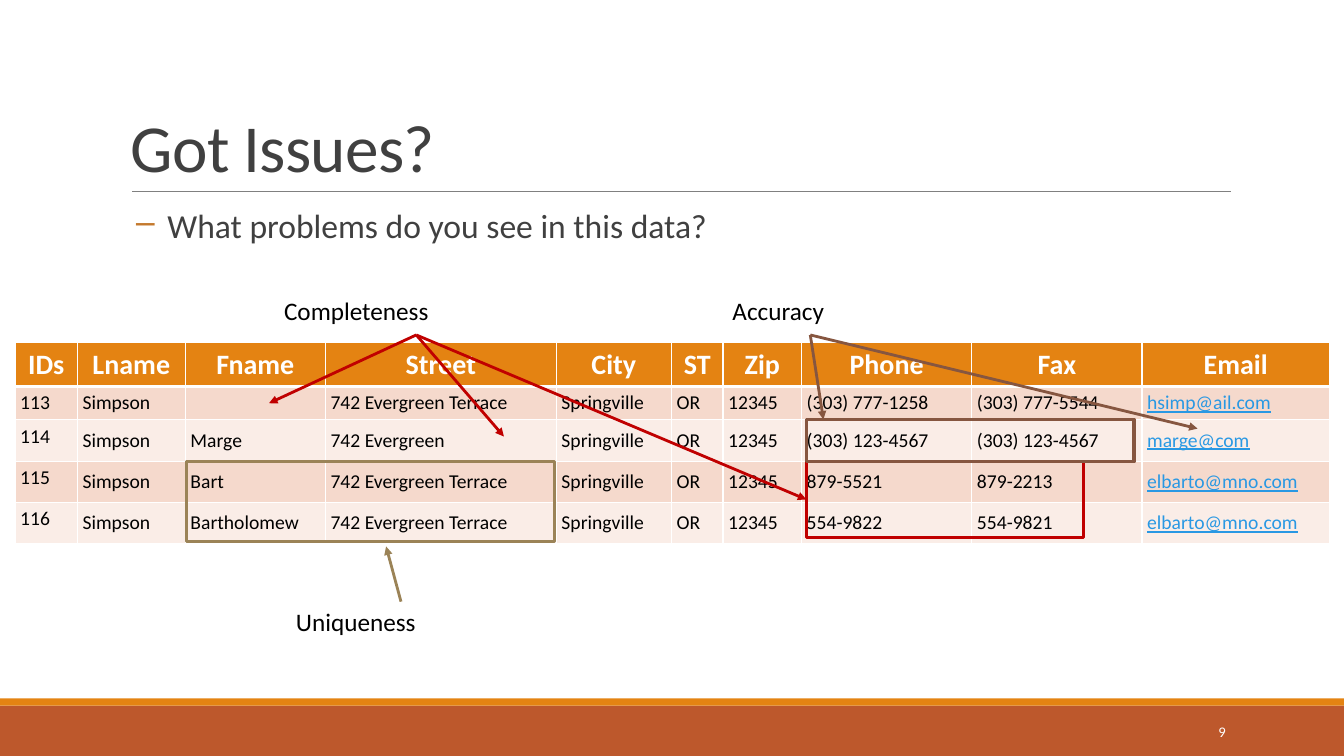
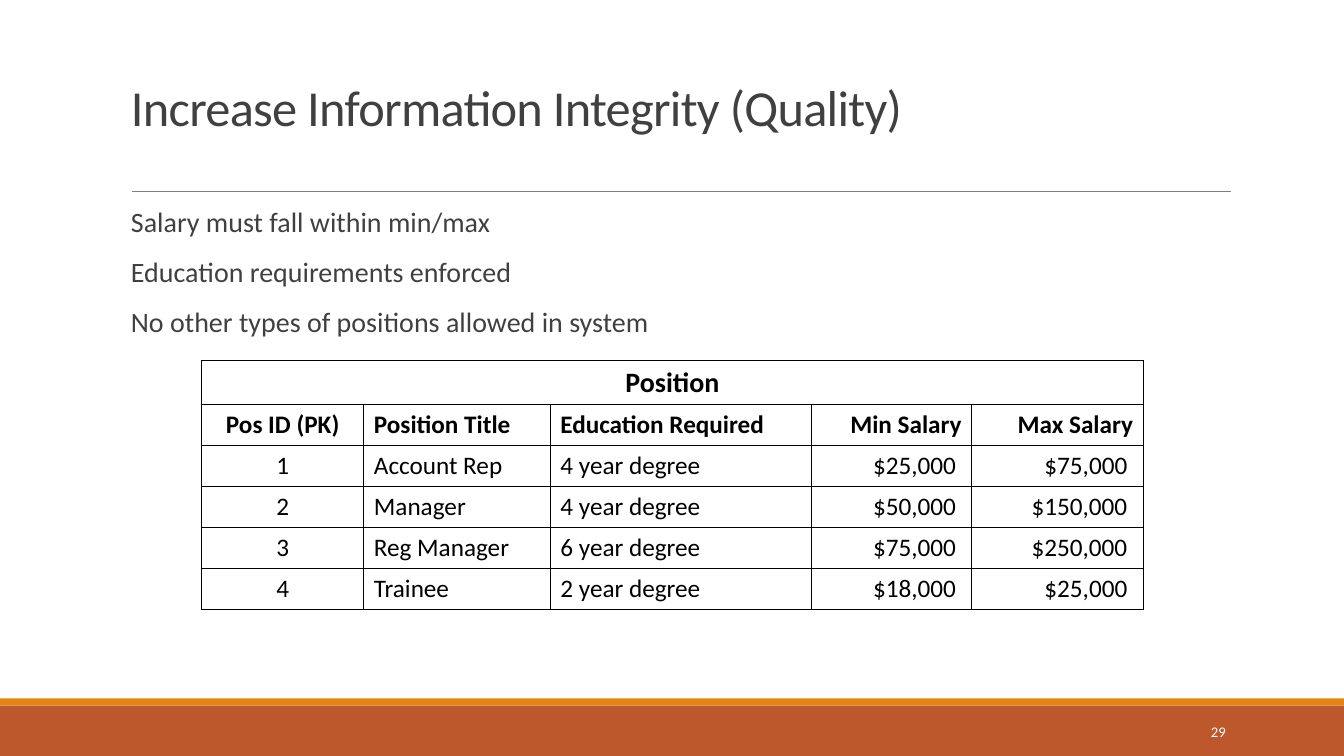
import lxml.etree
import pptx
import pptx.dml.color
import pptx.enum.shapes
import pptx.enum.text
import pptx.oxml.ns
import pptx.util

Cm = pptx.util.Cm
Pt = pptx.util.Pt
qn = pptx.oxml.ns.qn
ALIGN = pptx.enum.text.PP_ALIGN
ANCHOR = pptx.enum.text.MSO_ANCHOR
RECTANGLE = pptx.enum.shapes.MSO_SHAPE.RECTANGLE
STRAIGHT = pptx.enum.shapes.MSO_CONNECTOR.STRAIGHT

COLORS = {
    "white": "FFFFFF", "black": "000000", "text": "404040", "rule": "808080",
    "orange": "E48312", "rust": "BD582C", "bullet": "C4792D", "link": "2998E3",
    "row_dark": "F5D9CC", "row_light": "FAEDE7",
    "red": "C00000", "brown": "865640", "tan": "9B8357",
}
FONT = "Calibri"
WIDTH, HEIGHT = 33.87, 19.05
BOTTOM, TOP = 2, 0
LEFT = 1


def rgb(name):
    return pptx.dml.color.RGBColor.from_string(COLORS[name])


class Deck:
    """Holds the shared style and the slide being built."""

    def __init__(self):
        self.presentation = pptx.Presentation()
        self.presentation.slide_width = Cm(WIDTH)
        self.presentation.slide_height = Cm(HEIGHT)
        self.slide = None

    def new_slide(self, title, number, size, anchor):
        layout = self.presentation.slide_layouts[6]
        self.slide = self.presentation.slides.add_slide(layout)
        # Footer bands and the rule below the title
        self.rectangle(0, 17.78, WIDTH, 1.27, fill="rust")
        self.rectangle(0, 17.6, WIDTH, 0.18, fill="orange")
        self.line((3.33, 4.83), (31.01, 4.83), "rule", 0.5)
        # Title and slide number
        shape = self.text_box(3.05, 0.79, 27.94, 4.04, [title], size, "text",
                              anchor=anchor, line_spacing=0.85)
        run = shape.text_frame.paragraphs[0].runs[0]
        run.font._element.set("spc", "-50")
        self.text_box(27.51, 17.93, 3.63, 1.02, [str(number)], 10.5, "white",
                      anchor=ANCHOR.MIDDLE, align=ALIGN.RIGHT)

    def rectangle(self, left, top, width, height, fill=None, line=None):
        shape = self.slide.shapes.add_shape(
            RECTANGLE, Cm(left), Cm(top), Cm(width), Cm(height))
        shape.shadow.inherit = False
        if fill:
            shape.fill.solid()
            shape.fill.fore_color.rgb = rgb(fill)
        else:
            shape.fill.background()
        if line:
            shape.line.color.rgb = rgb(line)
            shape.line.width = Pt(2.25)
        else:
            shape.line.fill.background()
        return shape

    def line(self, start, end, color, width, arrow=False):
        """Each end is a point in cm, or a (shape, side) pair to join."""
        ends = [(0, 0) if hasattr(end_, "shape_id") or hasattr(end_[0], "shape_id")
                else end_ for end_ in (start, end)]
        connector = self.slide.shapes.add_connector(
            STRAIGHT, *[Cm(value) for point in ends for value in point])
        if ends[0] != start:
            connector.begin_connect(*start)
        if ends[1] != end:
            connector.end_connect(*end)
        connector.line.color.rgb = rgb(color)
        connector.line.width = Pt(width)
        if arrow:
            lxml.etree.SubElement(connector.line._get_or_add_ln(),
                                  qn("a:tailEnd"), type="triangle")
        lxml.etree.SubElement(connector._element.spPr, qn("a:effectLst"))

    def arrow(self, start, end, color):
        self.line(start, end, color, 2, arrow=True)

    def add_run(self, paragraph, text, size, color, bold=False, underline=False):
        run = paragraph.add_run()
        run.text = text
        run.font.name = FONT
        run.font.size = Pt(size)
        run.font.color.rgb = rgb(color)
        run.font.bold = bold
        run.font.underline = underline

    def text_box(self, left, top, width, height, lines, size, color,
                 anchor=ANCHOR.TOP, align=ALIGN.LEFT, line_spacing=1.0,
                 space_before=0, space_after=0):
        shape = self.slide.shapes.add_textbox(
            Cm(left), Cm(top), Cm(width), Cm(height))
        frame = shape.text_frame
        frame.word_wrap = True
        frame.vertical_anchor = anchor
        for index, text in enumerate(lines):
            paragraph = frame.add_paragraph() if index else frame.paragraphs[0]
            paragraph.alignment = align
            paragraph.line_spacing = line_spacing
            paragraph.space_before = Pt(space_before if index else 0)
            paragraph.space_after = Pt(space_after)
            self.add_run(paragraph, text, size, color)
        return shape

    def label(self, left, top, width, text):
        return self.text_box(left, top, width, 1.12, [text], 18, "black")

    def bullet(self, paragraph, character, indent):
        properties = paragraph._p.get_or_add_pPr()
        properties.set("marL", str(Cm(indent)))
        properties.set("indent", str(-Cm(indent)))
        color = lxml.etree.SubElement(properties, qn("a:buClr"))
        lxml.etree.SubElement(color, qn("a:srgbClr"), val=COLORS["bullet"])
        lxml.etree.SubElement(properties, qn("a:buChar"), char=character)

    def table(self, left, top, widths, heights):
        table = self.slide.shapes.add_table(
            len(heights), len(widths), Cm(left), Cm(top),
            Cm(sum(widths)), Cm(sum(heights))).table
        table.first_row = table.horz_banding = False
        for column, width in zip(table.columns, widths):
            column.width = Cm(width)
        for row, height in zip(table.rows, heights):
            row.height = Cm(height)
        return table

    def cell(self, cell, text, size, color, fill=None, align=ALIGN.LEFT,
             anchor=ANCHOR.MIDDLE, bold=False, underline=False):
        cell.vertical_anchor = anchor
        paragraph = cell.text_frame.paragraphs[0]
        paragraph.alignment = align
        if text:
            self.add_run(paragraph, text, size, color, bold, underline)
        else:
            lxml.etree.SubElement(paragraph._p, qn("a:endParaRPr"),
                                  sz=str(size * 100))
        if fill:
            cell.fill.solid()
            cell.fill.fore_color.rgb = rgb(fill)
        else:
            cell.fill.background()

    def borders(self, cell, color, top=1, bottom=1):
        properties = cell._tc.get_or_add_tcPr()
        sides = (("L", 1), ("R", 1), ("T", top), ("B", bottom))
        for index, (side, width) in enumerate(sides):
            border = lxml.etree.Element(qn("a:ln" + side), w=str(Pt(width)))
            fill = lxml.etree.SubElement(border, qn("a:solidFill"))
            lxml.etree.SubElement(fill, qn("a:srgbClr"), val=COLORS[color])
            properties.insert(index, border)


def build_issues(deck):
    deck.new_slide("Got Issues?", 9, 48, ANCHOR.BOTTOM)
    question = deck.text_box(3.18, 5.16, 22.66, 1.7,
                             ["What problems do you see in this data?"],
                             24, "text", line_spacing=0.9, space_after=2)
    deck.bullet(question.text_frame.paragraphs[0], "–", 0.79)

    # Customer table
    rows = [
        ("IDs", "Lname", "Fname", "Street", "City", "ST", "Zip", "Phone",
         "Fax", "Email"),
        ("113", "Simpson", "", "742 Evergreen Terrace", "Springville", "OR",
         "12345", "(303) 777-1258", "(303) 777-5544", "hsimp@ail.com"),
        ("114", "Simpson", "Marge", "742 Evergreen", "Springville", "OR",
         "12345", "(303) 123-4567", "(303) 123-4567", "marge@com"),
        ("115", "Simpson", "Bart", "742 Evergreen Terrace", "Springville", "OR",
         "12345", "879-5521", "879-2213", "elbarto@mno.com"),
        ("116", "Simpson", "Bartholomew", "742 Evergreen Terrace",
         "Springville", "OR", "12345", "554-9822", "554-9821",
         "elbarto@mno.com"),
    ]
    widths = [1.57, 2.72, 3.53, 5.82, 2.9, 1.3, 1.98, 4.29, 4.29, 4.72]
    table = deck.table(0.38, 8.64, widths, [1.1, 0.84] + [1.04] * 3)
    for row, values in enumerate(rows):
        for column, text in enumerate(values):
            cell = table.cell(row, column)
            cell.margin_left = cell.margin_right = Cm(0.13)
            cell.margin_top = cell.margin_bottom = Cm(0.12)
            if row == 0:
                deck.cell(cell, text, 20, "white", "orange", ALIGN.CENTER,
                          ANCHOR.TOP, bold=True)
            else:
                email = column == len(widths) - 1
                deck.cell(cell, text, 14, "link" if email else "black",
                          "row_dark" if row % 2 else "row_light",
                          anchor=ANCHOR.MIDDLE if column else ANCHOR.TOP,
                          underline=email)
            deck.borders(cell, "white", top=3 if row == 1 else 1,
                         bottom=3 if row == 0 else 1)

    # Completeness
    completeness = deck.label(6.91, 7.32, 7.16, "Completeness")
    short_numbers = deck.rectangle(20.32, 11.63, 6.99, 1.91, line="red")
    for target in ((6.78, 10.16), (12.7, 11), (short_numbers, LEFT)):
        deck.arrow((completeness, BOTTOM), target, "red")

    # Accuracy
    accuracy = deck.label(18.21, 7.32, 4.42, "Accuracy")
    deck.rectangle(20.32, 10.57, 8.26, 1.07, line="brown")
    for target in ((30.18, 10.8), (20.75, 10.57)):
        deck.arrow((accuracy, BOTTOM), target, "brown")

    # Uniqueness
    uniqueness = deck.label(7.21, 15.16, 5.79, "Uniqueness")
    deck.rectangle(4.7, 11.63, 9.27, 2.01, line="tan")
    deck.arrow((uniqueness, TOP), (9.73, 13.77), "tan")


def build_integrity(deck):
    deck.new_slide("Increase Information Integrity (Quality)", 29, 36,
                   ANCHOR.MIDDLE)
    deck.text_box(3.05, 5.13, 27.94, 3.9,
                  ["Salary must fall within min/max",
                   "Education requirements enforced",
                   "No other types of positions allowed in system"],
                  20, "text", line_spacing=0.9, space_before=12, space_after=2)

    # Position table
    rows = [
        ("Position", "", "", "", ""),
        ("Pos ID (PK)", "Position Title", "Education Required", "Min Salary",
         "Max Salary"),
        ("1", "Account Rep", "4 year degree", "$25,000", "$75,000"),
        ("2", "Manager", "4 year degree", "$50,000", "$150,000"),
        ("3", "Reg Manager", "6 year degree", "$75,000", "$250,000"),
        ("4", "Trainee", "2 year degree", "$18,000", "$25,000"),
    ]
    aligns = [ALIGN.CENTER, ALIGN.LEFT, ALIGN.LEFT, ALIGN.RIGHT, ALIGN.RIGHT]
    table = deck.table(5.08, 9.09, [4.09, 4.7, 6.58, 4.04, 4.32],
                       [1.11] + [1.03] * 5)
    table.cell(0, 0).merge(table.cell(0, 4))
    for row, values in enumerate(rows):
        for column, text in enumerate(values):
            cell = table.cell(row, column)
            deck.cell(cell, text, 18 if row else 20, "black",
                      align=aligns[column], bold=row < 2,
                      anchor=ANCHOR.MIDDLE if row else ANCHOR.BOTTOM)
            if row > 1 and aligns[column] == ALIGN.RIGHT:
                cell.margin_right = Cm(0.4)
            deck.borders(cell, "black")


def main():
    deck = Deck()
    build_issues(deck)
    build_integrity(deck)
    deck.presentation.save("out.pptx")


if __name__ == "__main__":
    main()
